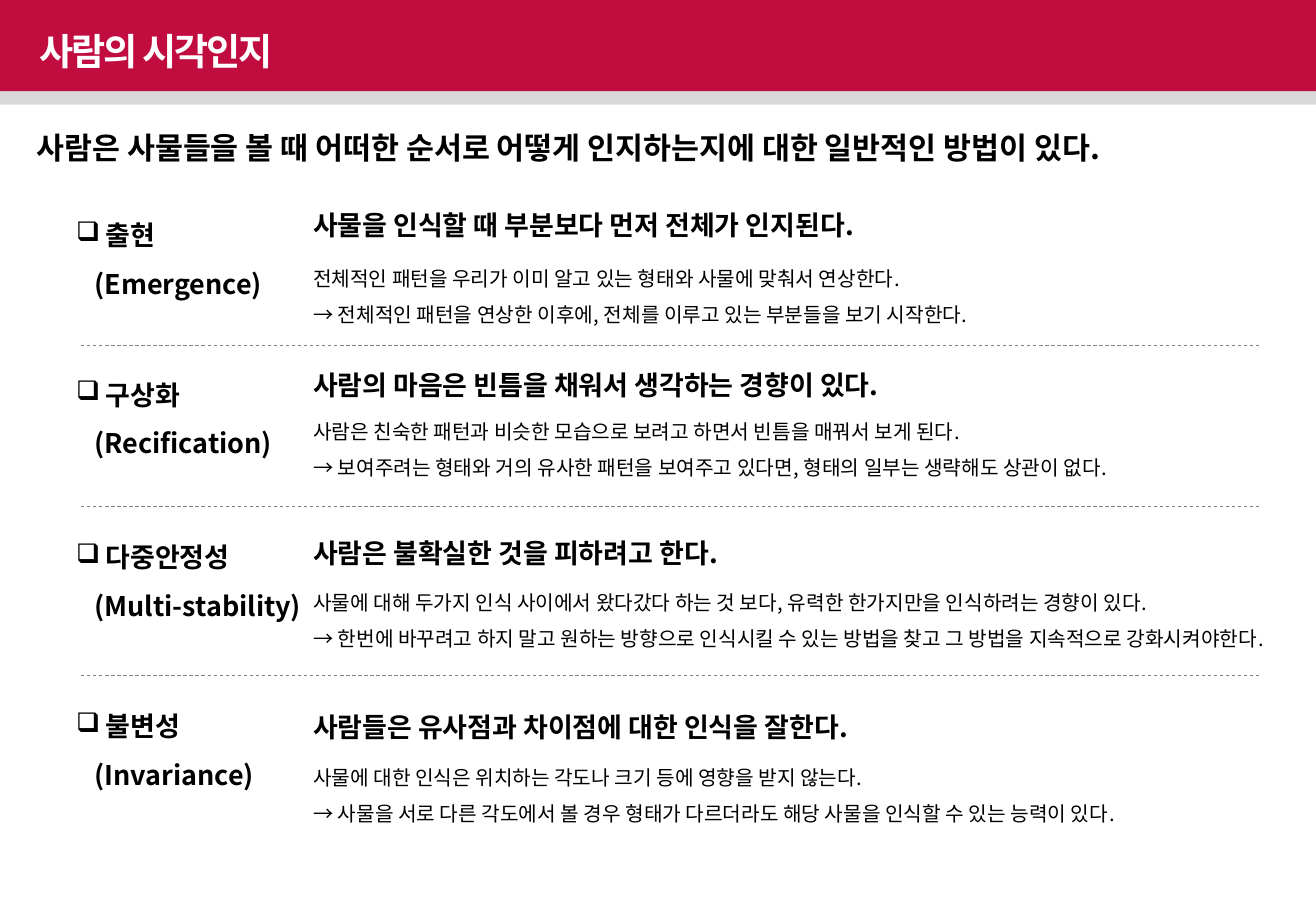
from lxml.etree import SubElement
from pptx import Presentation
from pptx.dml.color import RGBColor
from pptx.enum.dml import MSO_LINE
from pptx.enum.shapes import MSO_CONNECTOR as Connector, MSO_SHAPE as Shape
from pptx.enum.text import MSO_ANCHOR as Anchor, MSO_AUTO_SIZE as AutoSize, PP_ALIGN as Align
from pptx.oxml.ns import qn
from pptx.util import Pt

FONT = "Noto Sans CJK KR"
COLORS = {"band": "C00C3F", "edge": "D9D9D9", "title": "FFFFFF", "text": "000000", "rule": "808080"}
TITLE = {"size": Pt(22), "bold": True}
LEAD = {"size": Pt(18), "bold": True}
TERM = {"size": Pt(16), "bold": True}
DETAIL = {"size": Pt(12), "bold": False}
SINGLE = {"line_spacing": 1.0, "space_before": Pt(0), "alignment": Align.LEFT}
LOOSE = {**SINGLE, "line_spacing": 1.5}

CONCEPTS = [
    {"box": (38, 116.6, 735, 88), "claim_at": 3.6, "details_at": 30.3,
     "term": ["출현", "(Emergence)"],
     "claim": "사물을 인식할 때 부분보다 먼저 전체가 인지된다.",
     "details": ["전체적인 패턴을 우리가 이미 알고 있는 형태와 사물에 맞춰서 연상한다.",
                 "→ 전체적인 패턴을 연상한 이후에, 전체를 이루고 있는 부분들을 보기 시작한다."]},
    {"box": (38, 211, 735, 89.2), "claim_at": 3.6, "details_at": 26.6,
     "term": ["구상화", "(Recification)"],
     "claim": "사람의 마음은 빈틈을 채워서 생각하는 경향이 있다.",
     "details": ["사람은 친숙한 패턴과 비슷한 모습으로 보려고 하면서 빈틈을 매꿔서 보게 된다.",
                 "→ 보여주려는 형태와 거의 유사한 패턴을 보여주고 있다면, 형태의 일부는 생략해도 상관이 없다."]},
    {"box": (38, 307.4, 735, 92.9), "claim_at": 7.2, "details_at": 31.7,
     "term": ["다중안정성", "(Multi-stability)"],
     "claim": "사람은 불확실한 것을 피하려고 한다.",
     "details": ["사물에 대해 두가지 인식 사이에서 왔다갔다 하는 것 보다, 유력한 한가지만을 인식하려는 경향이 있다.",
                 "→ 한번에 바꾸려고 하지 말고 원하는 방향으로 인식시킬 수 있는 방법을 찾고 그 방법을 지속적으로 강화시켜야한다."]},
    {"box": (38, 407.5, 735, 90), "claim_at": 10.2, "details_at": 35.3,
     "term": ["불변성", "(Invariance)"],
     "claim": "사람들은 유사점과 차이점에 대한 인식을 잘한다.",
     "details": ["사물에 대한 인식은 위치하는 각도나 크기 등에 영향을 받지 않는다.",
                 "→ 사물을 서로 다른 각도에서 볼 경우 형태가 다르더라도 해당 사물을 인식할 수 있는 능력이 있다."]},
]


def apply(target, values):
    """Set every attribute of the target from the dict."""
    for name, value in values.items():
        setattr(target, name, value)


def place(holder, box):
    """Move a shape to a box given in points."""
    apply(holder, dict(zip(("left", "top", "width", "height"), map(Pt, box))))


def write(holder, lines, look, spacing, color="text", anchor=Anchor.TOP):
    """Write lines as paragraphs of one format and return the paragraphs."""
    frame = holder.text_frame
    apply(frame, {"word_wrap": True, "auto_size": AutoSize.NONE, "vertical_anchor": anchor})
    frame.text = "\n".join(lines)
    for paragraph in frame.paragraphs:
        apply(paragraph, spacing)
        run = paragraph.runs[0]
        apply(run.font, look)
        run.font.color.rgb = RGBColor.from_string(COLORS[color])
        run.font.name = FONT
        SubElement(run.font._element, qn("a:ea"), typeface=FONT)
    return frame.paragraphs


def indent(paragraph, margin, hanging=0, bullet=None):
    """Set the indents in points and the bullet of a paragraph."""
    props = paragraph._p.get_or_add_pPr()
    props.set("marL", str(Pt(margin)))
    props.set("indent", str(Pt(-hanging)))
    if bullet:
        SubElement(props, qn("a:buChar"), char=bullet)
    else:
        SubElement(props, qn("a:buNone"))


def add_header(slide, box):
    """Draw the title band with its grey edge and fill in the title."""
    left, top, width, height = box
    for color, drop in (("band", 0), ("edge", 8)):
        bar = slide.shapes.add_shape(Shape.RECTANGLE, *map(Pt, (left, top + drop, width, height)))
        bar.shadow.inherit = False
        bar.fill.solid()
        bar.fill.fore_color.rgb = RGBColor.from_string(COLORS[color])
        bar.line.fill.background()
        bar._element.getparent().insert(2, bar._element)
    title = slide.shapes.title
    place(title, (left + 16, top + 13, width - 103, 34))
    heading, = write(title, ["사람의 시각인지"], TITLE, SINGLE, "title", Anchor.MIDDLE)
    heading.runs[0].font._element.set("spc", "-110")


def add_lead(slide, box):
    """Fill the body placeholder with the opening sentence."""
    lead = slide.placeholders[1]
    place(lead, box)
    sentence, = write(lead, ["사람은 사물들을 볼 때 어떠한 순서로 어떻게 인지하는지에 대한 일반적인 방법이 있다."], LEAD, LOOSE)
    indent(sentence, 0)


def add_concept(slide, concept):
    """Place the term, claim and details of one concept in its box."""
    left, top, width, height = concept["box"]
    column = left + 140.5
    parts = {
        "term": ((left, top, 164, 65), TERM, LOOSE),
        "claim": ((column, top + concept["claim_at"], 568, 27), TERM, SINGLE),
        "details": ((column, top + concept["details_at"], left + width - column, 51), DETAIL, LOOSE),
    }
    written = {}
    for part, (box, look, spacing) in parts.items():
        lines = [concept[part]] if part == "claim" else concept[part]
        written[part] = write(slide.shapes.add_textbox(*map(Pt, box)), lines, look, spacing)
    korean, english = written["term"]
    indent(korean, 17.5, 17.5, "❑")
    indent(english, 11)


def add_rule(slide, box):
    """Draw the dashed rule at the foot of a concept box."""
    left, top, width, height = box
    foot = top + height
    rule = slide.shapes.add_connector(Connector.STRAIGHT, *map(Pt, (left + 10, foot, left + 708.5, foot)))
    rule.line.color.rgb = RGBColor.from_string(COLORS["rule"])
    apply(rule.line, {"width": Pt(0.5), "dash_style": MSO_LINE.DASH})
    SubElement(rule._element.spPr, qn("a:effectLst"))


def main():
    """Build the slide and save it."""
    deck = Presentation()
    apply(deck, {"slide_width": Pt(780), "slide_height": Pt(540)})
    slide = deck.slides.add_slide(deck.slide_layouts[1])
    add_header(slide, (0, 0, 780, 54))
    add_lead(slide, (14.4, 62, 765, 40))
    for concept in CONCEPTS:
        add_concept(slide, concept)
    for concept in CONCEPTS[:-1]:
        add_rule(slide, concept["box"])
    deck.save("out.pptx")


if __name__ == "__main__":
    main()
